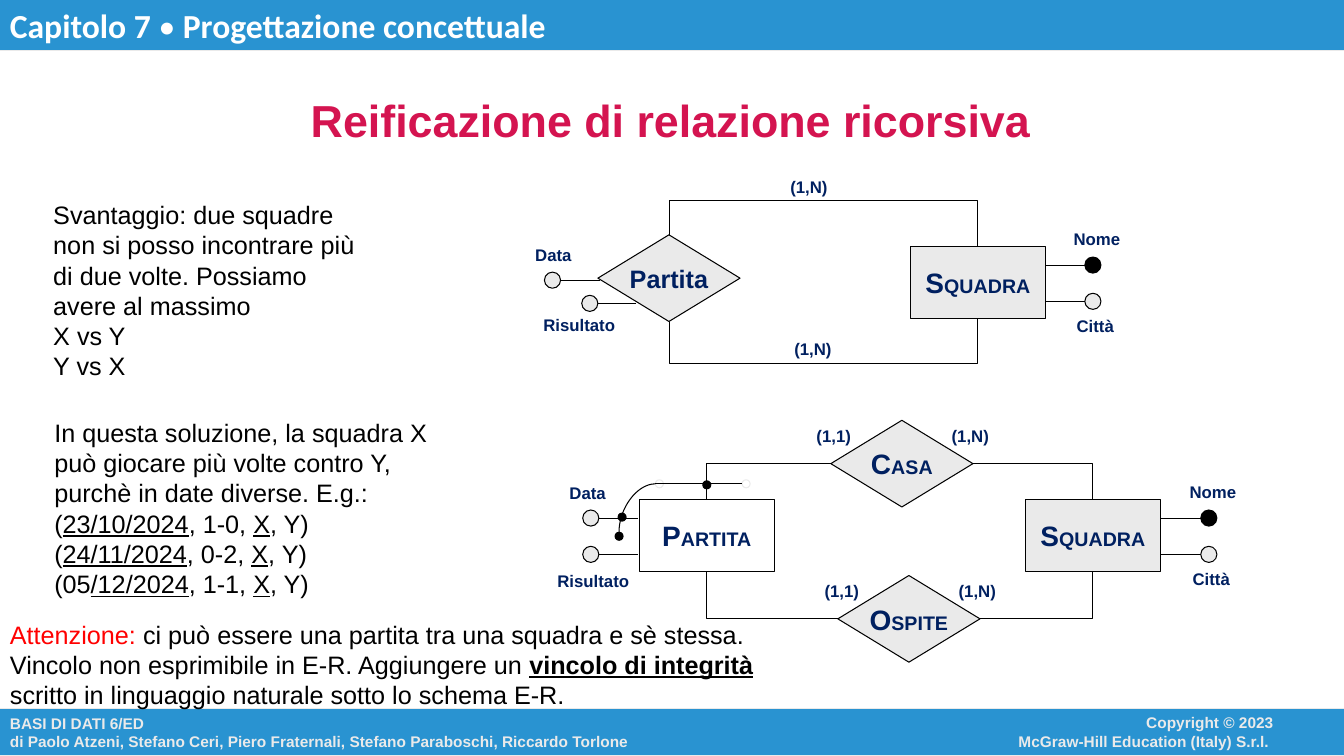
import copy
import pptx
import pptx.util
import pptx.dml.color
import pptx.enum.shapes
import pptx.enum.text
import pptx.oxml
import pptx.oxml.ns

Inches = pptx.util.Inches
RGBColor = pptx.dml.color.RGBColor
Shape = pptx.enum.shapes.MSO_SHAPE
Link = pptx.enum.shapes.MSO_CONNECTOR
Align = pptx.enum.text.PP_ALIGN
Anchor = pptx.enum.text.MSO_ANCHOR

BLUE = RGBColor(0x29, 0x93, 0xD1)
GREY = RGBColor(0xEA, 0xEA, 0xEA)
WHITE = RGBColor(0xFF, 0xFF, 0xFF)
BLACK = RGBColor(0, 0, 0)
NAVY = RGBColor(0, 0x20, 0x60)
CRIMSON = RGBColor(0xD4, 0x14, 0x50)
RED = RGBColor(0xFF, 0, 0)

deck = pptx.Presentation()
deck.slide_width = Inches(13.33)
deck.slide_height = Inches(7.5)
slide = deck.slides.add_slide(deck.slide_layouts[5])
shapes = slide.shapes


def write(shape, paragraphs, size, color, align=Align.LEFT, anchor=Anchor.TOP, wrap=True, **base):
    frame = shape.text_frame
    frame.word_wrap = wrap
    frame.vertical_anchor = anchor
    for number, runs in enumerate(paragraphs):
        paragraph = frame.add_paragraph() if number else frame.paragraphs[0]
        paragraph.alignment = align
        for text, changes in runs:
            look = {"name": "Arial", "size": size, "color": color, **base, **changes}
            for position, line in enumerate(text.split("\n")):
                if position:
                    paragraph.add_line_break()
                    line_break = paragraph._p[-1]
                run = paragraph.add_run()
                run.text = line
                for key, value in look.items():
                    if key == "color":
                        run.font.color.rgb = value
                    elif key == "size":
                        run.font.size = pptx.util.Pt(value)
                    else:
                        setattr(run.font, key, value)
                if position:
                    line_break.append(copy.deepcopy(run._r.rPr))


def draw(kind, left, top, width, height, fill=None, line=BLACK):
    shape = shapes.add_shape(kind, *map(Inches, (left, top, width, height)))
    shape.shadow.inherit = False
    if fill is None:
        shape.fill.background()
    else:
        shape.fill.solid()
        shape.fill.fore_color.rgb = fill
    shape.line.color.rgb = line
    shape.line.width = pptx.util.Pt(0.75)
    return shape


footer = draw(Shape.RECTANGLE, 0, 7.03, 13.34, 0.47, BLUE, GREY)
write(footer, [[("BASI DI DATI 6/ED\ndi Paolo Atzeni, Stefano Ceri, Piero Fraternali, "
                 "Stefano Paraboschi, Riccardo Torlone", {})]],
      11, GREY, anchor=Anchor.MIDDLE, wrap=False, bold=True)
copyright_line = shapes.add_textbox(*map(Inches, (8.89, 7.03, 3.84, 0.46)))
write(copyright_line, [[("Copyright © 2023", {})], [("McGraw-Hill Education (Italy) S.r.l. ", {})]],
      11, GREY, Align.RIGHT, bold=True)
chapter = draw(Shape.RECTANGLE, 0, 0, 13.34, 0.5, BLUE, GREY)
chapter.line.width = 0
write(chapter, [[("Capitolo 7 ", {}), ("•", {"bold": False}), (" Progettazione concettuale", {})]],
      24, WHITE, name="Calibri", bold=True)

title = shapes.title
for side, value in {"left": 1.55, "top": 0.99, "width": 10.21, "height": 0.39}.items():
    setattr(title, side, Inches(value))
write(title, [[("Reificazione di relazione ricorsiva", {})]],
      32, CRIMSON, Align.CENTER, Anchor.MIDDLE, bold=True)

nodes = {}
for key, name, kind, left, top, fill in [
    ("match", "PARTITA", Shape.RECTANGLE, 6.34, 4.96, None),
    ("team", "SQUADRA", Shape.RECTANGLE, 10.17, 4.96, GREY),
    ("home", "CASA", Shape.DIAMOND, 8.24, 4.17, GREY),
    ("guest", "OSPITE", Shape.DIAMOND, 8.31, 5.71, GREY),
    ("recursive team", "SQUADRA", Shape.RECTANGLE, 9.03, 2.45, GREY),
    ("recursive match", "Partita", Shape.DIAMOND, 5.93, 2.33, GREY),
]:
    width, height = (1.34, 0.71) if kind == Shape.RECTANGLE else (1.41, 0.86)
    nodes[key] = draw(kind, left, top, width, height, fill)
    runs = [(name[0], {"size": 20}), (name[1:], {"size": 14})] if name.isupper() else [(name, {})]
    write(nodes[key], [runs], 18, NAVY, Align.CENTER, Anchor.MIDDLE, False, bold=True)

links = []
for relation, side, entity, entity_side in [
    ("home", 1, "match", 0), ("home", 3, "team", 0),
    ("guest", 1, "match", 2), ("guest", 3, "team", 2),
]:
    elbow = shapes.add_connector(Link.ELBOW, 0, 0, 0, 0)
    elbow.begin_connect(nodes[relation], side)
    elbow.end_connect(nodes[entity], entity_side)
    elbow.element.spPr.prstGeom.set("prst", "bentConnector2")
    links.append(elbow)

for relation_y, loop_y, entity_y in [(2.33, 1.99, 2.45), (3.19, 3.61, 3.16)]:
    loop = shapes.build_freeform(Inches(6.64), Inches(relation_y))
    loop.add_line_segments([(Inches(x), Inches(y)) for x, y in
                            [(6.64, loop_y), (9.69, loop_y), (9.69, entity_y)]], close=False)
    role = loop.convert_to_shape()
    role.shadow.inherit = False
    role.fill.background()
    role.line.color.rgb = BLACK
    role.line.width = pptx.util.Pt(0.75)

labels = [
    ("(1,1)", 8, 4.17, 0.54), ("(1,N)", 9.34, 4.17, 0.57),
    ("(1,1)", 8.08, 5.71, 0.54), ("(1,N)", 9.41, 5.71, 0.57),
    ("(1,N)", 7.74, 1.7, 0.57), ("(1,N)", 7.78, 3.31, 0.57),
]
for name, left, top, width, dot_left, dot_top, end, fill in [
    ("Data", 5.55, 4.74, 0.56, 5.78, 5.06, 6.33, GREY),
    ("Risultato", 5.43, 5.61, 0.91, 5.78, 5.42, 6.33, GREY),
    ("Nome", 11.7, 4.73, 0.66, 11.91, 5.06, 11.52, BLACK),
    ("Città", 11.73, 5.59, 0.57, 11.91, 5.42, 11.52, GREY),
    ("Data", 5.21, 2.38, 0.56, 5.4, 2.7, 5.95, GREY),
    ("Risultato", 5.29, 3.07, 0.91, 5.77, 2.93, 6.31, GREY),
    ("Nome", 10.55, 2.22, 0.66, 10.76, 2.55, 10.37, BLACK),
    ("Città", 10.58, 3.08, 0.57, 10.76, 2.91, 10.37, GREY),
]:
    labels.append((name, left, top, width))
    draw(Shape.OVAL, dot_left, dot_top, 0.16, 0.16, fill)
    start = dot_left + 0.16 if end > dot_left else dot_left
    stem_y = Inches(dot_top + 0.08)
    links.append(shapes.add_connector(Link.STRAIGHT, Inches(start), stem_y, Inches(end), stem_y))

for name, left, top, width in labels:
    label = shapes.add_textbox(*map(Inches, (left, top, width, 0.3)))
    write(label, [[(name, {})]], 12, NAVY, wrap=False, bold=True)

key_bottom, key_corner, key_end, key_date, key_role = [
    draw(Shape.OVAL, left, top, 0.08, 0.08, fill, line) for left, top, fill, line in [
        (6.1, 5.28, BLACK, BLACK), (6.5, 4.76, None, GREY), (7.36, 4.76, None, GREY),
        (6.13, 5.09, BLACK, BLACK), (6.97, 4.77, BLACK, BLACK),
    ]]
key_curve = shapes.add_connector(Link.CURVE, 0, 0, 0, 0)
key_curve.begin_connect(key_corner, 1)
key_curve.end_connect(key_bottom, 0)
key_curve.element.nvCxnSpPr.cNvCxnSpPr.stCxn.set("idx", "2")
key_curve.element.spPr.prstGeom.set("prst", "curvedConnector2")
key_bar = shapes.add_connector(Link.STRAIGHT, *map(Inches, (6.5, 4.8, 7.36, 4.8)))
links += [key_curve, key_bar]

for link in links:
    link.line.color.rgb = BLACK
    link.line.width = pptx.util.Pt(0.75)
    link.element.spPr.append(pptx.oxml.parse_xml("<a:effectLst %s/>" % pptx.oxml.ns.nsdecls("a")))

UNDERLINED = {"underline": True}
for box, paragraphs in [
    ((0.43, 1.93, 3.37, 1.82), [
        [("Svantaggio: due squadre non si posso incontrare più di due volte. "
          "Possiamo avere al massimo", {})],
        [("X vs Y", {})],
        [("Y vs X", {})]]),
    ((0.44, 4.09, 4.29, 1.86), [
        [("In questa soluzione, la squadra X può giocare più volte contro Y, "
          "purchè in date diverse. E.g.:\n(", {}),
         ("23/10/2024", UNDERLINED), (", 1-0, ", {}), ("X", UNDERLINED), (", Y)\n(", {}),
         ("24/11/2024", UNDERLINED), (", 0-2, ", {}), ("X", UNDERLINED), (", Y)", {})],
        [("(05", {}), ("/12/2024", UNDERLINED), (", 1-1, ", {}), ("X", UNDERLINED), (", Y)", {})]]),
    ((0, 6.09, 8.21, 0.94), [
        [("Attenzione:", {"color": RED}),
         (" ci può essere una partita tra una squadra e sè stessa. "
          "Vincolo non esprimibile in E-R. Aggiungere un ", {}),
         ("vincolo di integrità", {"bold": True, "underline": True}),
         (" scritto in linguaggio naturale sotto lo schema E-R.", {})]]),
]:
    comment = shapes.add_textbox(*map(Inches, box))
    write(comment, paragraphs, 18, BLACK)

deck.save("out.pptx")
